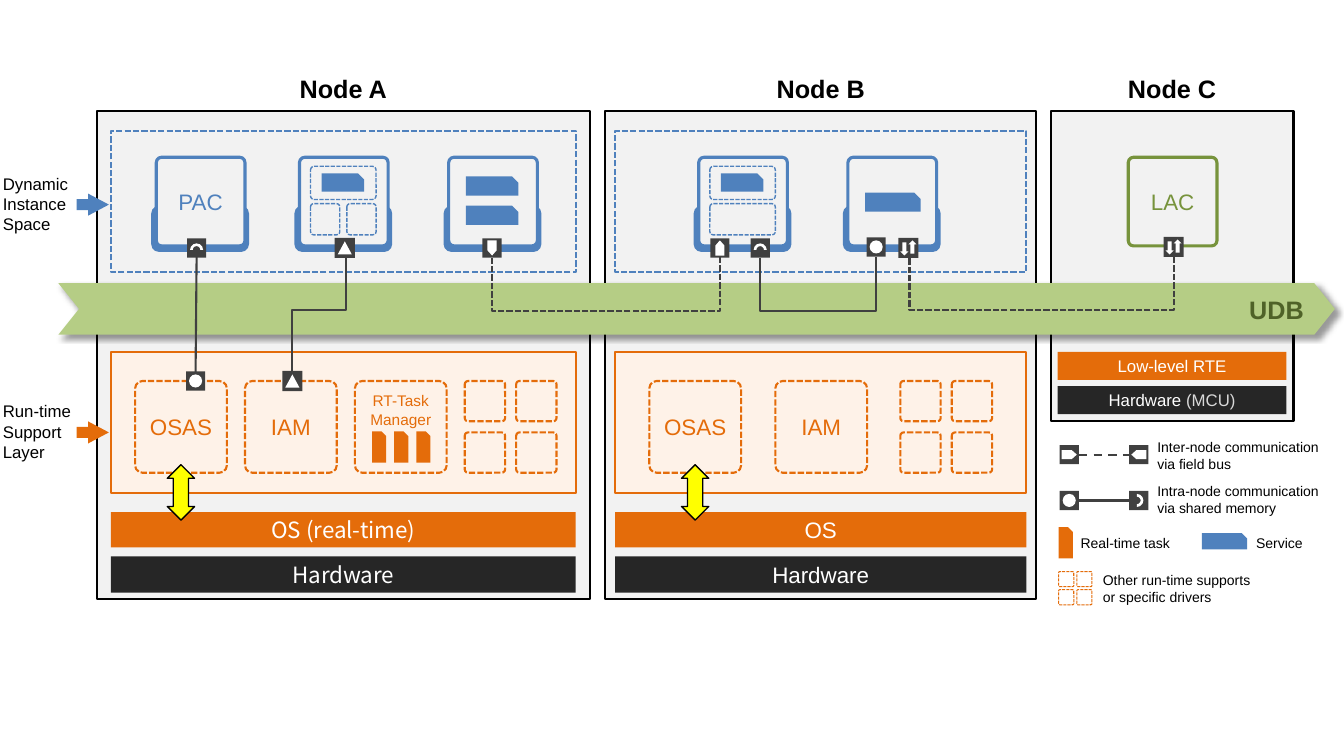
import math
import lxml.etree
import pptx
import pptx.dml.color
import pptx.enum.dml
import pptx.enum.shapes
import pptx.enum.text
import pptx.oxml.ns
import pptx.util

KIND = pptx.enum.shapes.MSO_SHAPE
LINK = pptx.enum.shapes.MSO_CONNECTOR
DASH = pptx.enum.dml.MSO_LINE
MID = pptx.enum.text.MSO_ANCHOR.MIDDLE
TOP = pptx.enum.text.MSO_ANCHOR.TOP
ALIGN = pptx.enum.text.PP_ALIGN
qn = pptx.oxml.ns.qn
BLUE, ORANGE, GREEN, DARK = "4F81BD", "E46C0A", "77933C", "404040"
BLACK, WHITE, GREY, COAL = "000000", "FFFFFF", "F2F2F2", "262626"
NOTO = "Noto Sans CJK SC"
CELL = 0.91

deck = pptx.Presentation()


def size(v):
    """Length on the inch grid, as Cm."""
    return pptx.util.Cm(2.54 * v)


deck.slide_width, deck.slide_height = size(13.33), size(7.5)
slide = deck.slides.add_slide(deck.slide_layouts[6])


def tint(code):
    return pptx.dml.color.RGBColor.from_string(code)


def write(shape, lines, pt, color, font="Arial", bold=False, align=ALIGN.CENTER,
          anchor=MID, pad=(0, 0)):
    """Each line is a list of (text, color) runs, or a plain string."""
    frame = shape.text_frame
    frame.word_wrap, frame.vertical_anchor = True, anchor
    frame.margin_left = frame.margin_right = size(pad[0])
    frame.margin_top = frame.margin_bottom = size(pad[1])
    for i, line in enumerate(lines):
        para = frame.add_paragraph() if i else frame.paragraphs[0]
        para.alignment = align
        for text, code in [(line, color)] if isinstance(line, str) else line:
            run = para.add_run()
            run.text = text
            run.font.size, run.font.name = pptx.util.Pt(pt), font
            run.font.bold, run.font.color.rgb = bold, tint(code)


def draw(kind, x, y, w, h, fill=None, line=None, width=1.5, dash=None, adj=(), turn=0):
    shape = slide.shapes.add_shape(kind, size(x), size(y), size(w), size(h))
    shape.shadow.inherit = False
    shape.rotation = turn
    for i, value in enumerate(adj):
        shape.adjustments[i] = value
    if fill:
        shape.fill.solid()
        shape.fill.fore_color.rgb = tint(fill)
    else:
        shape.fill.background()
    if line:
        shape.line.color.rgb, shape.line.width = tint(line), pptx.util.Pt(width)
        shape.line.dash_style = dash
    else:
        shape.line.fill.background()
    return shape


def label(x, y, w, h, lines, pt, color=BLACK, bold=False, align=ALIGN.LEFT):
    box = slide.shapes.add_textbox(size(x), size(y), size(w), size(h))
    write(box, lines, pt, color, bold=bold, align=align, anchor=TOP, pad=(0.1, 0.05))


def link(x1, y1, x2, y2, mid=None, dash=None):
    """Straight line, or with mid an elbow that runs level at that height."""
    if mid is None:
        line = slide.shapes.add_connector(LINK.STRAIGHT, size(x1), size(y1), size(x2), size(y2))
    else:
        # The elbow lies on its side: its width is the drop, its height the run
        drop, run = y2 - y1, x1 - x2
        x, y = (x1 + x2 - drop) / 2, (y1 + y2 - run) / 2
        line = slide.shapes.add_connector(LINK.ELBOW, size(x), size(y), size(x + drop), size(y + run))
        props = line._element.spPr
        props.find(qn("a:xfrm")).set("rot", "5400000")
        guides = props.find(qn("a:prstGeom")).find(qn("a:avLst"))
        bend = round((mid - y1) / drop * 100000)
        lxml.etree.SubElement(guides, qn("a:gd"), name="adj1", fmla=f"val {bend}")
    line.line.color.rgb, line.line.width = tint(DARK), pptx.util.Pt(1.5)
    line.line.dash_style = dash
    lxml.etree.SubElement(line._element.spPr, qn("a:effectLst"))


GLYPHS = {  # kind, width, height, adjustments, shift (right, down), own turn
    "disc": [(KIND.OVAL, 0.13, 0.13, (), 0, 0, 0)],
    "arc": [(KIND.BLOCK_ARC, 0.13, 0.13, (108, 216, 0.21), 0, 0.02, 0)],
    "peak": [(KIND.ISOSCELES_TRIANGLE, 0.14, 0.13, (), 0, 0, 0)],
    "tag": [(KIND.PENTAGON, 0.15, 0.09, (0.56,), 0, 0, 0)],
    "swap": [(KIND.RIGHT_ARROW, 0.13, 0.08, (), -0.04, 0.01, 90),
             (KIND.RIGHT_ARROW, 0.13, 0.08, (), 0.04, -0.01, 270)],
}


def port(cx, cy, name, turn=0):
    side = 0.2 if name in ("peak", "swap") else 0.19
    draw(KIND.RECTANGLE, cx - side / 2, cy - side / 2, side, side, DARK)
    cos, sin = math.cos(math.radians(turn)), math.sin(math.radians(turn))
    for kind, w, h, adj, dx, dy, own in GLYPHS[name]:
        gx, gy = cx + dx * cos - dy * sin, cy + dx * sin + dy * cos
        draw(kind, gx - w / 2, gy - h / 2, w, h, WHITE, adj=adj, turn=turn + own)


def snip(x, y, w, h, fill):
    draw(KIND.SNIP_1_RECTANGLE, x, y, w, h, fill, adj=[0.33])


def grid(x, y, side, step, width=1.5):
    for i in range(4):
        draw(KIND.ROUNDED_RECTANGLE, x + i % 2 * step, y + i // 2 * step, side, side,
             line=ORANGE, width=width, dash=DASH.SQUARE_DOT, adj=[0.08])


def bar(x, y, w, h, lines, pt, fill, font="Arial"):
    write(draw(KIND.RECTANGLE, x, y, w, h, fill), lines, pt, WHITE, font)


def app(x, y, color, text=None, parts=(), slots=()):
    """Application frame; parts are services, slots are dashed boxes."""
    if color == BLUE:
        draw(KIND.ROUNDED_RECTANGLE, x - 0.05, y + 0.48, 0.97, 0.46, BLUE, adj=[0.17])
    frame = draw(KIND.ROUNDED_RECTANGLE, x, y, 0.88, 0.88, GREY, color, 2.25, adj=[0.06])
    if text:
        write(frame, [text], 16, color)
    for dx, dy, w, h in slots:
        draw(KIND.ROUNDED_RECTANGLE, x + dx, y + dy, w, h, line=BLUE, width=1,
             dash=DASH.SQUARE_DOT, adj=[0.11])
    for dx, dy, w, h in parts:
        snip(x + dx, y + dy, w, h, BLUE)


def space(x, y, w, h, apps):
    draw(KIND.RECTANGLE, x, y, w, h, line=BLUE, dash=DASH.SQUARE_DOT)
    for dx, more in apps:
        app(x + dx, y + 0.26, BLUE, **more)


def layer(x, y, w, h, cells, rest):
    """Run-time support layer: named cells, then a grid of other supports."""
    draw(KIND.RECTANGLE, x, y, w, h, "FEF2E8", ORANGE)
    top = y + 0.29
    for dx, lines in cells:
        cell = draw(KIND.ROUNDED_RECTANGLE, x + dx, top, CELL, CELL, line=ORANGE,
                    dash=DASH.SQUARE_DOT, adj=[0.08])
        if len(lines) == 1:
            write(cell, lines, 16, ORANGE)
        else:
            write(cell, lines, 11, ORANGE, anchor=TOP, pad=(0, 0.08))
            for i in range(3):
                snip(x + dx + 0.17 + i * 0.22, top + 0.5, 0.14, 0.31, ORANGE)
    grid(x + rest, top, 0.4, 0.51)
    draw(KIND.UP_DOWN_ARROW, x + cells[0][0] + (CELL - 0.27) / 2, top + 0.83, 0.27, 0.55,
         "FFFF00", BLACK, 1, adj=[0.39, 0.56])


def panel(x, y, w, h, name):
    draw(KIND.RECTANGLE, x, y, w, h, GREY, BLACK)
    label(x + w / 2 - 0.75, y - 0.42, 1.5, 0.4, [name], 18, bold=True, align=ALIGN.CENTER)


def node(x, y, w, h, pad, name, apps, cells, rest, base, font):
    panel(x, y, w, h, name)
    left, wide = x + pad, w - 2 * pad
    bar(left, y + 3.98, wide, 0.35, [base], 16, ORANGE, font)
    bar(left, y + 4.42, wide, 0.36, ["Hardware"], 16, COAL, font)
    space(left, y + 0.2, wide, 1.4, apps)
    layer(left, y + 2.39, wide, 1.4, cells, rest)


def small(x, y, w, h, pad):
    panel(x, y, w, h, "Node C")
    app(x + 0.77, y + 0.46, GREEN, "LAC")
    bar(x + pad, y + 2.39, w - 2 * pad, 0.28, ["Low-level RTE"], 12, ORANGE)
    bar(x + pad, y + 2.73, w - 2 * pad, 0.28,
        [[("Hardware ", WHITE), ("(MCU)", "D9D9D9")]], 12, COAL)


def bus(x, y, w, h):
    band = draw(KIND.CHEVRON, x, y, w, h, "B5CD85", adj=[0.4])
    glow = lxml.etree.SubElement(band._element.spPr.find(qn("a:effectLst")), qn("a:outerShdw"),
                                 blurRad="50800", dist="38100", dir="2700000")
    shade = lxml.etree.SubElement(glow, qn("a:srgbClr"), val=BLACK)
    lxml.etree.SubElement(shade, qn("a:alpha"), val="40000")
    label(x + w - 1.17, y + 0.06, 1.18, 0.4, ["UDB"], 18, "4F6228", True, ALIGN.CENTER)


def legend(x, y):
    rows = [("tag", 0, 180, DASH.DASH, ["Inter-node communication", "via field bus"]),
            ("disc", 0, 90, None, ["Intra-node communication", "via shared memory"])]
    for i, (name, near, far, dash, lines) in enumerate(rows):
        cy = y + 0.21 + i * 0.455
        link(x + 0.2, cy, x + 0.7, cy, dash=dash)
        port(x + 0.105, cy, name, near)
        port(x + 0.795, cy, "arc" if name == "disc" else name, far)
        label(x + 0.88, y + i * 0.44, 1.95, 0.44, lines, 10)
    snip(x, y + 0.93, 0.14, 0.31, ORANGE)
    label(x + 0.12, y + 0.95, 1.36, 0.27, ["Real-time task"], 10)
    snip(x + 1.42, y + 0.99, 0.45, 0.16, BLUE)
    label(x + 1.86, y + 0.95, 0.8, 0.27, ["Service"], 10)
    grid(x, y + 1.37, 0.15, 0.18, 0.75)
    label(x + 0.34, y + 1.32, 2.17, 0.44, ["Other run-time supports", "or specific drivers"], 10)


def side(x, y, lines, color):
    label(x, y, 0.97, 0.71, lines, 12)
    draw(KIND.RIGHT_ARROW, x + 0.83, y + 0.25, 0.32, 0.22, color, adj=[0.5, 0.94])


# Nodes
wide, chip = (0.11, 0.09, 0.65, 0.33), (0.22, 0.16, 0.42, 0.18)
halves = [(dx, 0.46, 0.29, 0.31) for dx in (0.11, 0.47)]
pair = [(0.17, dy, 0.52, 0.19) for dy in (0.19, 0.48)]
node(0.96, 1.1, 4.89, 4.84, 0.14, "Node A",
     [(0.45, dict(text="PAC")), (1.87, dict(parts=[chip], slots=[wide] + halves)),
      (3.35, dict(parts=pair))],
     [(0.24, ["OSAS"]), (1.33, ["IAM"]), (2.42, ["RT-Task", "Manager"])],
     3.51, "OS (real-time)", NOTO)
node(6, 1.1, 4.28, 4.84, 0.1, "Node B",
     [(0.83, dict(parts=[chip], slots=[wide, (0.11, 0.46, 0.65, 0.31)])),
      (2.31, dict(parts=[(0.17, 0.35, 0.55, 0.19)]))],
     [(0.34, ["OSAS"]), (1.59, ["IAM"])], 2.83, "OS", "Arial")
small(10.42, 1.1, 2.41, 3.08, 0.07)
bus(0.58, 2.81, 12.66, 0.51)

# Links across the bus, then their ports
link(1.94, 3.69, 1.95, 2.55)
link(3.43, 2.56, 2.9, 3.68, 3.08)
link(7.14, 2.55, 4.88, 2.56, 3.09, DASH.SQUARE_DOT)
link(8.69, 2.55, 7.54, 2.56, 3.09)
link(11.64, 2.55, 9.02, 2.56, 3.08, DASH.SQUARE_DOT)
for spot in [(1.94, 3.78, "disc"), (1.95, 2.46, "arc"), (2.9, 3.78, "peak"),
             (3.42, 2.46, "peak"), (4.88, 2.46, "tag", 90), (7.14, 2.46, "tag", 270),
             (7.54, 2.46, "arc"), (8.69, 2.45, "disc"), (9.01, 2.46, "swap"),
             (11.64, 2.45, "swap")]:
    port(*spot)

# Legend and side labels
legend(10.5, 4.3)
side(-0.07, 1.67, ["Dynamic", "Instance", "Space"], BLUE)
side(-0.07, 3.93, ["Run-time", "Support", "Layer"], ORANGE)

deck.save("out.pptx")
